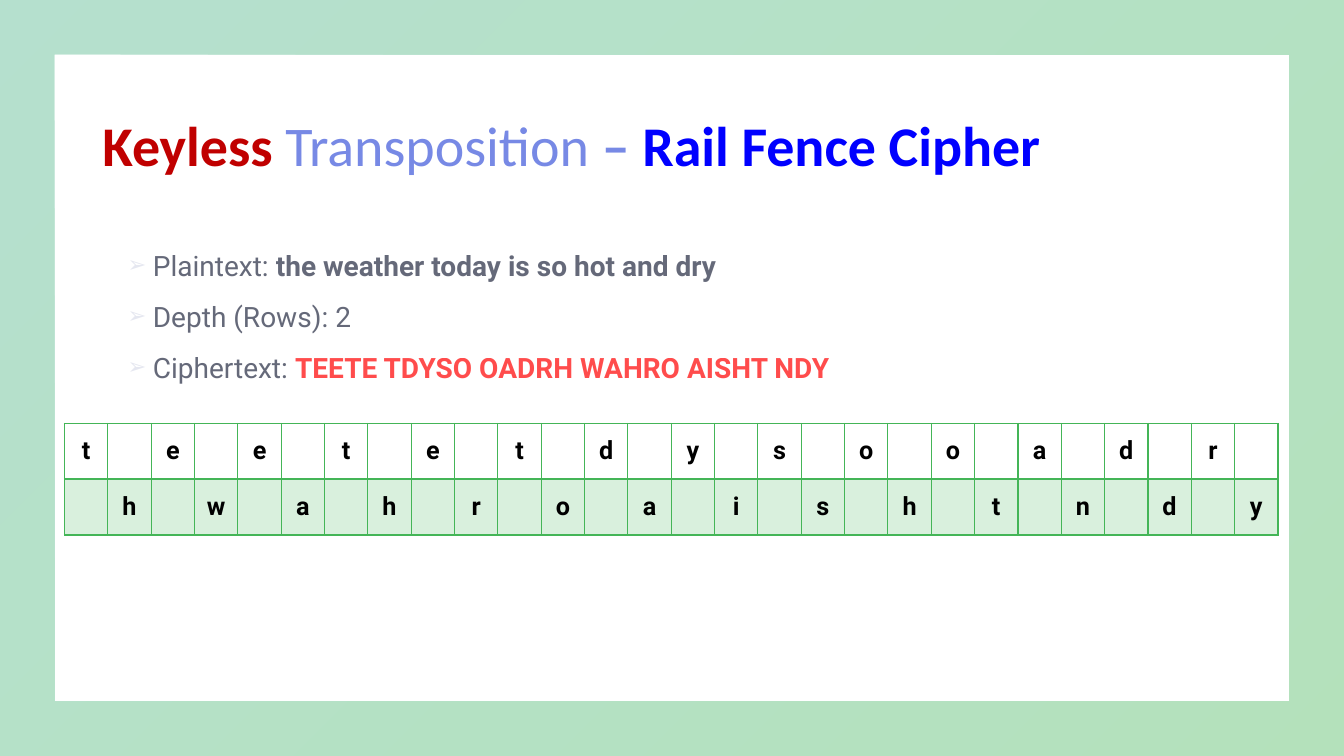
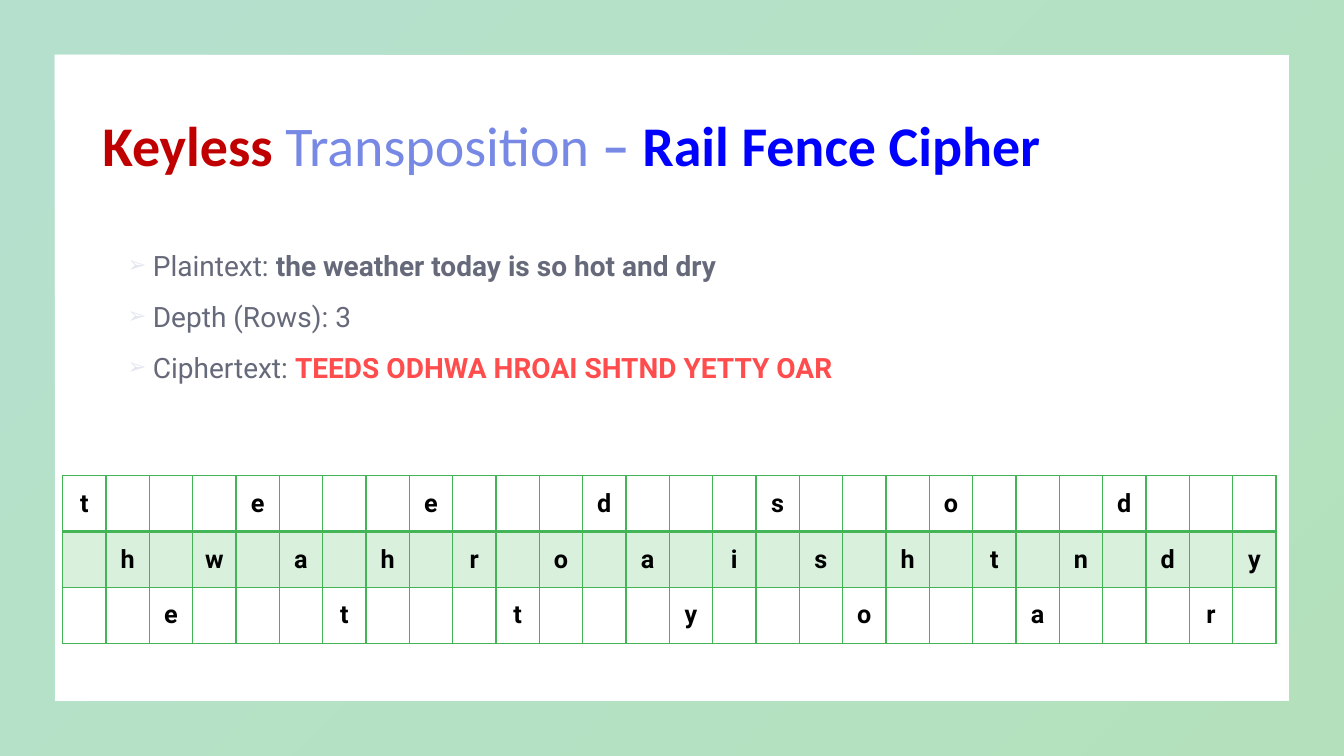
import dataclasses
import itertools

import pptx
import pptx.dml.color
import pptx.dml.fill
import pptx.enum.shapes
import pptx.enum.text
import pptx.oxml
import pptx.oxml.ns
import pptx.presentation
import pptx.slide
import pptx.table
import pptx.text.text
import pptx.util

Pt = pptx.util.Pt
ALIGN = pptx.enum.text.PP_ALIGN
MIDDLE = pptx.enum.text.MSO_ANCHOR.MIDDLE

SLIDE_WIDTH, SLIDE_HEIGHT = 960, 540
GREEN, TEAL, PERIWINKLE = "44B557", "47B386", "7789E5"
DARK_RED, BLUE, RED = "C00000", "0000FF", "FF0000"
INK, BLACK, BULLET_GREY = "242A41", "000000", "E5E7F0"
TITLE_FONT, BODY_FONT = "Calibri", "Roboto"

PLAINTEXT = "the weather today is so hot and dry"
LETTERS = PLAINTEXT.replace(" ", "")
TABLE_WIDTH, ROW_HEIGHT = 867, 39.9


@dataclasses.dataclass(frozen=True)
class ColorStop:
    color: str
    opacity: int = 100


@dataclasses.dataclass(frozen=True)
class Span:
    text: str
    stops: tuple[ColorStop, ...]
    bold: bool = False


@dataclasses.dataclass(frozen=True)
class CipherSlide:
    depth: int
    table_left: float
    table_top: float


VIOLET_FADE = (ColorStop(PERIWINKLE), ColorStop(GREEN, 70))
SOFT_INK = (ColorStop(INK, 70),)
SOFT_RED = (ColorStop(RED, 70),)
TITLE = (
    Span("Keyless ", (ColorStop(DARK_RED),), True),
    Span("Transposition", VIOLET_FADE),
    Span(" – ", VIOLET_FADE, True),
    Span("Rail Fence Cipher", (ColorStop(BLUE),), True),
)
SLIDES = (CipherSlide(2, 46.1, 302.4), CipherSlide(3, 44.7, 339.8))


def set_color(color: pptx.dml.color.ColorFormat, owner, stop: ColorStop) -> None:
    """Set a colour; its opacity is written into the XML of the owner."""
    color.rgb = pptx.dml.color.RGBColor.from_string(stop.color)
    if stop.opacity < 100:
        value = owner.xpath(f".//a:srgbClr[@val='{stop.color}']")[-1]
        alpha = value.makeelement(pptx.oxml.ns.qn("a:alpha"), {"val": str(stop.opacity * 1000)})
        value.append(alpha)


def set_fill(
    fill: pptx.dml.fill.FillFormat, owner, stops: tuple[ColorStop, ...], angle: float = 0
) -> None:
    """Fill solid for one stop, with a gradient for two."""
    if len(stops) == 1:
        fill.solid()
        set_color(fill.fore_color, owner, stops[0])
        return
    fill.gradient()
    fill.gradient_angle = angle
    for gradient_stop, stop in zip(fill.gradient_stops, stops):
        set_color(gradient_stop.color, owner, stop)


def add_span(para: pptx.text.text._Paragraph, span: Span, font: str, size: float) -> None:
    run = para.add_run()
    run.text = span.text
    run.font.name = font
    run.font.size = Pt(size)
    run.font.bold = span.bold
    set_fill(run.font.fill, run._r, span.stops)


def add_bullet(para: pptx.text.text._Paragraph) -> None:
    properties = para._p.get_or_add_pPr()
    properties.set("marL", str(Pt(36)))
    properties.set("indent", str(Pt(-18)))
    namespace = pptx.oxml.ns.nsdecls("a")
    for markup in (
        f'<a:buClr {namespace}><a:srgbClr val="{BULLET_GREY}"/></a:buClr>',
        f'<a:buSzPct {namespace} val="80000"/>',
        f'<a:buChar {namespace} char="➢"/>',
    ):
        properties.append(pptx.oxml.parse_xml(markup))


def set_borders(cell: pptx.table._Cell, bottom_width: float) -> None:
    properties = cell._tc.get_or_add_tcPr()
    widths = {"lnL": 1, "lnR": 1, "lnT": 1, "lnB": bottom_width}
    for tag, width in widths.items():
        properties.append(pptx.oxml.parse_xml(
            f'<a:{tag} {pptx.oxml.ns.nsdecls("a")} w="{Pt(width)}"><a:solidFill>'
            f'<a:srgbClr val="{GREEN}"/></a:solidFill></a:{tag}>'
        ))


def rail_rows(depth: int) -> list[list[str]]:
    """Write the letters in a zigzag over the given number of rows."""
    rows = [[""] * len(LETTERS) for _ in range(depth)]
    zigzag = itertools.cycle([*range(depth), *range(depth - 2, 0, -1)])
    for column, (letter, row) in enumerate(zip(LETTERS, zigzag)):
        rows[row][column] = letter
    return rows


def ciphertext(rows: list[list[str]]) -> str:
    """Read the rows one after another, in groups of five letters."""
    joined = "".join(itertools.chain.from_iterable(rows)).upper()
    return " ".join(joined[start:start + 5] for start in range(0, len(joined), 5))


def arrange_layout(layout: pptx.slide.SlideLayout) -> None:
    """Place the title and body, and remove the unused footers."""
    tops_and_heights = {0: (54, 104.4), 1: (171.4, 314.6)}
    for box in list(layout.placeholders):
        index = box.placeholder_format.idx
        if index in tops_and_heights:
            top, height = tops_and_heights[index]
            box.left, box.top = Pt(66), Pt(top)
            box.width, box.height = Pt(828), Pt(height)
        else:
            layout.shapes.element.remove(box.element)


def add_layout_frame(layout: pptx.slide.SlideLayout, slide: pptx.slide.Slide) -> None:
    """Draw the green frame and move it to the back of the layout."""
    frame = slide.shapes.add_shape(
        pptx.enum.shapes.MSO_SHAPE.FRAME, 0, 0, Pt(SLIDE_WIDTH), Pt(SLIDE_HEIGHT)
    )
    frame.adjustments[0] = 0.072
    frame.shadow.inherit = False
    set_fill(frame.fill, frame.element, (ColorStop(TEAL, 40), ColorStop(GREEN, 40)), 315)
    frame.line.fill.background()
    frame.element.xpath("./p:nvSpPr/p:cNvPr")[0].set("id", "20")
    layout.shapes.element.insert(2, frame.element)


def fill_title(slide: pptx.slide.Slide) -> None:
    frame = slide.shapes.title.text_frame
    frame.vertical_anchor = MIDDLE
    para = frame.paragraphs[0]
    para.alignment = ALIGN.LEFT
    para.line_spacing = 0.9
    for span in TITLE:
        add_span(para, span, TITLE_FONT, 40)


def fill_body(slide: pptx.slide.Slide, depth: int, cipher: str) -> None:
    lines = (
        (Span("Plaintext: ", SOFT_INK), Span(PLAINTEXT, SOFT_INK, True)),
        (Span(f"Depth (Rows): {depth}", SOFT_INK),),
        (Span("Ciphertext: ", SOFT_INK), Span(cipher, SOFT_RED, True)),
    )
    frame = slide.placeholders[1].text_frame
    for number, line in enumerate(lines):
        para = frame.add_paragraph() if number else frame.paragraphs[0]
        add_bullet(para)
        para.alignment = ALIGN.JUSTIFY
        para.line_spacing = 1.1
        para.space_before = Pt(10 if number else 0)
        for span in line:
            add_span(para, span, BODY_FONT, 20)


def add_rail_table(
    slide: pptx.slide.Slide, rows: list[list[str]], left: float, top: float
) -> None:
    table = slide.shapes.add_table(
        len(rows), len(LETTERS), Pt(left), Pt(top), Pt(TABLE_WIDTH), Pt(ROW_HEIGHT * len(rows))
    ).table
    table.first_row = table.horz_banding = False
    for column in table.columns:
        column.width = Pt(TABLE_WIDTH / len(LETTERS))
    for row_number, letters in enumerate(rows):
        table.rows[row_number].height = Pt(ROW_HEIGHT)
        for column_number, letter in enumerate(letters):
            cell = table.cell(row_number, column_number)
            cell.vertical_anchor = MIDDLE
            set_borders(cell, 1 if row_number else 2)
            if row_number % 2:
                set_fill(cell.fill, cell._tc, (ColorStop(GREEN, 20),))
            else:
                cell.fill.background()
            if letter:
                para = cell.text_frame.paragraphs[0]
                para.alignment = ALIGN.CENTER
                add_span(para, Span(letter, (ColorStop(BLACK),), True), BODY_FONT, 18)


def add_cipher_slide(
    deck: pptx.presentation.Presentation, layout: pptx.slide.SlideLayout, page: CipherSlide
) -> pptx.slide.Slide:
    slide = deck.slides.add_slide(layout)
    rows = rail_rows(page.depth)
    fill_title(slide)
    fill_body(slide, page.depth, ciphertext(rows))
    add_rail_table(slide, rows, page.table_left, page.table_top)
    return slide


def main() -> None:
    deck = pptx.Presentation()
    deck.slide_width, deck.slide_height = Pt(SLIDE_WIDTH), Pt(SLIDE_HEIGHT)
    layout = deck.slide_layouts[1]
    arrange_layout(layout)
    slides = [add_cipher_slide(deck, layout, page) for page in SLIDES]
    add_layout_frame(layout, slides[0])
    deck.save("out.pptx")


if __name__ == "__main__":
    main()
